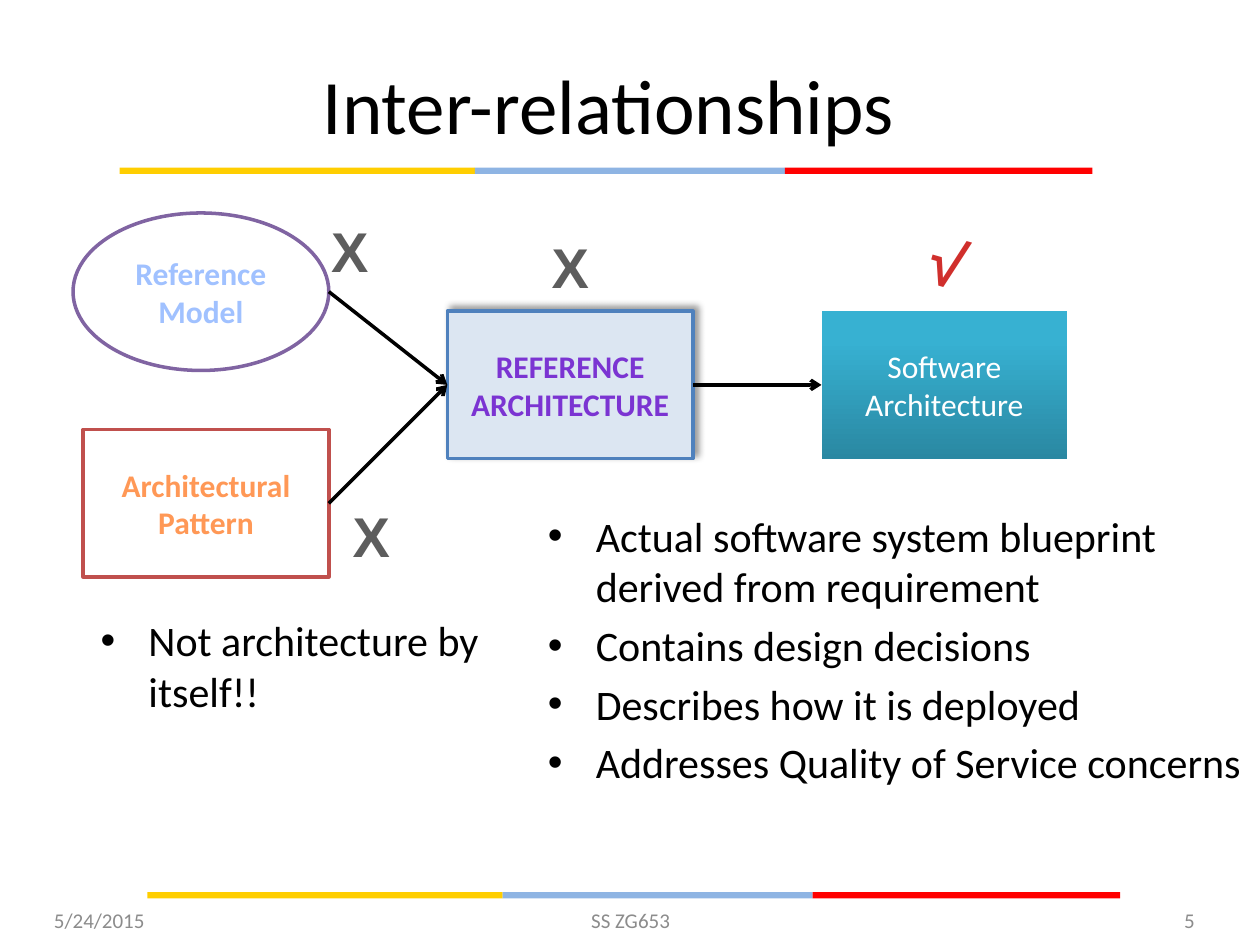
from lxml.etree import SubElement
from pptx import Presentation
from pptx.dml.color import RGBColor
from pptx.enum.shapes import MSO_CONNECTOR, MSO_SHAPE
from pptx.enum.text import MSO_ANCHOR, MSO_AUTO_SIZE, PP_ALIGN
from pptx.oxml.ns import qn
from pptx.util import Inches, Pt


def color(hex_code):
    return RGBColor.from_string(hex_code)


def style_text(frame, size, hex_code, bold=False, align=PP_ALIGN.LEFT, font="Calibri"):
    for paragraph in frame.paragraphs:
        paragraph.alignment = align
        for run in paragraph.runs:
            run.font.name = font
            run.font.size = Pt(size)
            run.font.bold = bold
            run.font.color.rgb = color(hex_code)


def add_text(slide, box, text, size, hex_code, **style):
    text_box = slide.shapes.add_textbox(*map(Inches, box))
    text_box.text_frame.word_wrap = True
    text_box.text_frame.text = text
    style_text(text_box.text_frame, size, hex_code, **style)
    return text_box


def add_title(slide, box, text):
    title = slide.shapes.title
    title.left, title.top, title.width, title.height = map(Inches, box)
    title.text_frame.text = text
    title.text_frame.vertical_anchor = MSO_ANCHOR.MIDDLE
    style_text(title.text_frame, 44, "000000", align=PP_ALIGN.CENTER)


def add_stripe(slide, left, top):
    """Yellow, blue and red rule running from left."""
    for width, hex_code in ((2.82, "FFCE00"), (2.46, "8EB4E3"), (2.44, "FF0000")):
        band = slide.shapes.add_shape(MSO_SHAPE.RECTANGLE, Inches(left), Inches(top),
                                      Inches(width), Inches(0.05))
        band.shadow.inherit = False
        band.fill.solid()
        band.fill.fore_color.rgb = color(hex_code)
        band.line.fill.background()
        left += width


def add_node(slide, box, text, text_color, fill="FFFFFF", line=None,
             kind=MSO_SHAPE.RECTANGLE, bold=True):
    node = slide.shapes.add_shape(kind, *map(Inches, box))
    node.shadow.inherit = False
    node.fill.solid()
    node.fill.fore_color.rgb = color(fill)
    if line:
        node.line.color.rgb = color(line)
        node.line.width = Pt(2)
    else:
        node.line.fill.background()
    node.text_frame.word_wrap = True
    node.text_frame.vertical_anchor = MSO_ANCHOR.MIDDLE
    node.text_frame.text = text
    style_text(node.text_frame, 18, text_color, bold, PP_ALIGN.CENTER)
    return node


def add_drop_shadow(node):
    effects = node._element.spPr.find(qn("a:effectLst"))
    shadow = SubElement(effects, qn("a:outerShdw"), blurRad=str(Pt(4)),
                        dist=str(Pt(3)), dir=str(315 * 60000), rotWithShape="0")
    black = SubElement(shadow, qn("a:srgbClr"), val="000000")
    SubElement(black, qn("a:alpha"), val="40000")


def add_arrow(slide, source, target):
    """Arrow from the right middle of source to the left middle of target."""
    arrow = slide.shapes.add_connector(
        MSO_CONNECTOR.STRAIGHT,
        source.left + source.width, source.top + source.height // 2,
        target.left, target.top + target.height // 2)
    arrow.line.color.rgb = color("000000")
    arrow.line.width = Pt(2)
    SubElement(arrow.line._get_or_add_ln(), qn("a:tailEnd"), type="arrow")
    SubElement(arrow._element.spPr, qn("a:effectLst"))


def add_diagram(slide, left, top):
    node_width, node_height = 1.95, 1.17
    model = add_node(slide, (left, top, 2.03, 1.25), "Reference Model", "A0C1FF",
                     line="8064A2", kind=MSO_SHAPE.OVAL)
    pattern = add_node(slide, (left + 0.08, top + 1.72, node_width, node_height),
                       "Architectural Pattern", "FF9856", line="C0504D")
    reference = add_node(slide, (left + 2.97, top + 0.78, node_width, node_height),
                         "REFERENCE ARCHITECTURE", "7B34D2", "DCE6F2", "4F81BD")
    add_drop_shadow(reference)
    software = add_node(slide, (left + 5.94, top + 0.78, node_width, node_height),
                        "Software Architecture", "FFFFFF", bold=False)
    software.fill.gradient()
    software.fill.gradient_angle = 90
    dark, light = software.fill.gradient_stops
    dark.color.rgb, dark.position = color("2A88A2"), 0
    light.color.rgb, light.position = color("37B1D2"), 0.8

    for source, target in ((model, reference), (pattern, reference), (reference, software)):
        add_arrow(slide, source, target)

    # Verdict marks beside the nodes
    check = add_text(slide, (left + 6.71, top + 0.08, 0.76, 0.71), "√", 36, "D02F2C",
                     bold=True, font="Arial")
    check.rotation = 16
    for dx, dy in ((1.95, -0.02), (2.12, 2.24), (3.7, 0.11)):
        cross = add_text(slide, (left + dx, top + dy, 0.5, 0.64), "X", 32, "5D5D5D",
                         bold=True, font="Arial")
        cross.text_frame.word_wrap = False
        cross.text_frame.auto_size = MSO_AUTO_SIZE.SHAPE_TO_FIT_TEXT


def add_bullets(slide, box, items):
    frame = add_text(slide, box, "\n".join(items), 24, "000000").text_frame
    for index, paragraph in enumerate(frame.paragraphs):
        properties = paragraph._p.get_or_add_pPr()
        properties.set("marL", str(Inches(0.38)))
        properties.set("indent", str(Inches(-0.38)))
        SubElement(properties, qn("a:buFont"), typeface="Arial")
        SubElement(properties, qn("a:buChar"), char="•")
        if index:
            paragraph.space_before = Pt(4.8)


def add_footer(slide, top):
    for left, width, text, align in (
            (0.33, 2.33, "5/24/2015", PP_ALIGN.LEFT),
            (3.42, 3.17, "SS ZG653", PP_ALIGN.CENTER),
            (7.25, 2.33, "5", PP_ALIGN.RIGHT)):
        part = add_text(slide, (left, top, width, 0.4), text, 12, "8C8C8C", align=align)
        part.text_frame.vertical_anchor = MSO_ANCHOR.MIDDLE


def main():
    presentation = Presentation()
    presentation.slide_width, presentation.slide_height = Inches(10), Inches(7.5)
    slide = presentation.slides.add_slide(presentation.slide_layouts[5])

    add_stripe(slide, 0.95, 1.33)
    add_stripe(slide, 1.17, 7.08)
    add_title(slide, (0.33, 0.31, 9, 1.03), "Inter-relationships")
    add_diagram(slide, 0.58, 1.69)
    add_footer(slide, 7.1)
    add_bullets(slide, (4.25, 4, 5.75, 3.17), (
        "Actual software system blueprint derived from requirement",
        "Contains design decisions",
        "Describes how it is deployed",
        "Addresses Quality of Service concerns"))
    add_bullets(slide, (0.7, 4.83, 4, 2.17), ("Not architecture by itself!!",))

    presentation.save("out.pptx")


if __name__ == "__main__":
    main()
